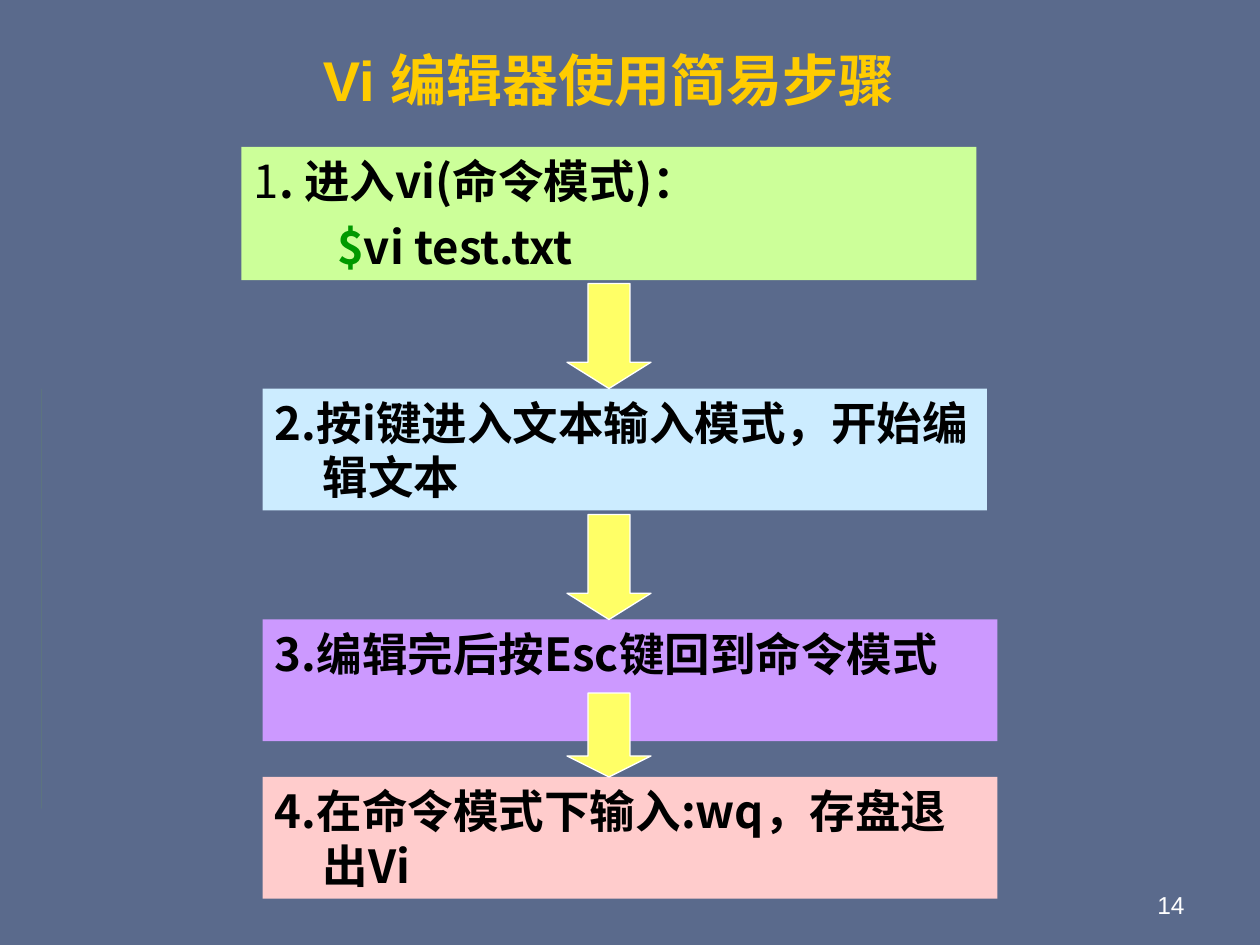
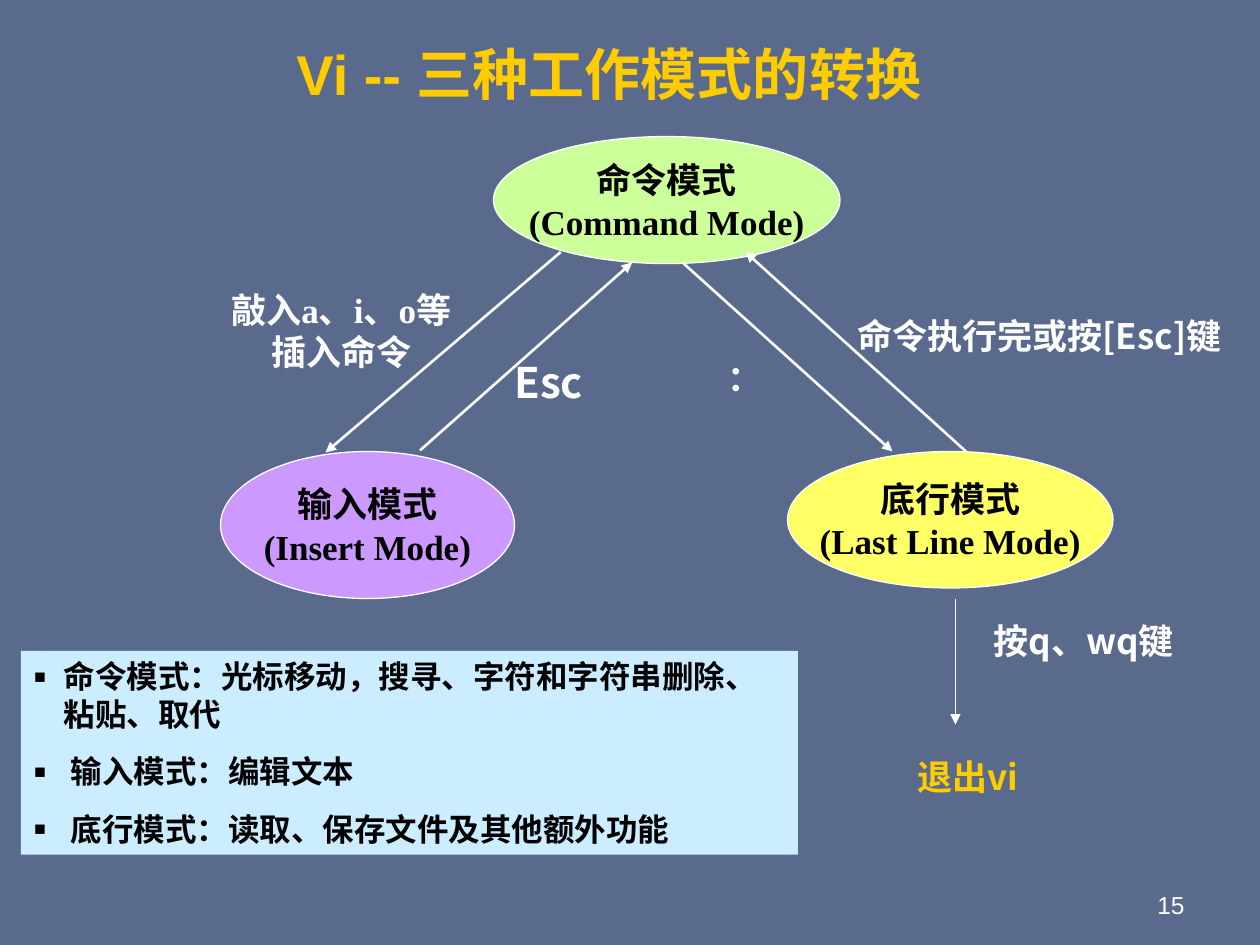
"""Build two slides on the vi editor: its simple steps and its three modes."""
from lxml import etree
from pptx import Presentation
from pptx.dml.color import RGBColor
from pptx.enum.shapes import MSO_CONNECTOR, MSO_SHAPE
from pptx.enum.text import MSO_ANCHOR, PP_ALIGN
from pptx.oxml.ns import qn
from pptx.util import Inches, Pt

RECT, OVAL, DOWN = MSO_SHAPE.RECTANGLE, MSO_SHAPE.OVAL, MSO_SHAPE.DOWN_ARROW
LINE = MSO_CONNECTOR.STRAIGHT
TOP, MID, LOW = MSO_ANCHOR.TOP, MSO_ANCHOR.MIDDLE, MSO_ANCHOR.BOTTOM
LEFT, MIDST, RIGHT = PP_ALIGN.LEFT, PP_ALIGN.CENTER, PP_ALIGN.RIGHT
SANS, SERIF, HEAD = "Noto Sans CJK SC", "Times New Roman", "Arial"
HUES = {"back": "5A6A8C", "gold": "FFCC00", "white": "FFFFFF", "black": "000000",
        "lime": "CCFF99", "sky": "CCECFF", "plum": "CC99FF", "pink": "FFCCCC",
        "lemon": "FFFF66", "green": "009900", "leaf": "6BBA27"}
RGB = {name: RGBColor.from_string(code) for name, code in HUES.items()}
COLS = 120

deck = Presentation()
deck.slide_width, deck.slide_height = Inches(10), Inches(7.5)
UNIT = deck.slide_width / COLS
ground = deck.slide_master.background.fill
ground.solid()
ground.fore_color.rgb = RGB["back"]


def place(slide, kind, area, hue=None, edge=False):
    """Add a shape, or a text box when kind is None, on the grid."""
    spot = [round(n * UNIT) for n in area]
    if kind is None:
        return slide.shapes.add_textbox(*spot)
    shape = slide.shapes.add_shape(kind, *spot)
    shape.shadow.inherit = False
    shape.fill.solid()
    shape.fill.fore_color.rgb = RGB[hue]
    if edge:
        shape.line.color.rgb = RGB["white"]
        shape.line.width = Pt(0.75)
    else:
        shape.line.fill.background()
    return shape


def write(shape, lines, size, face, hue="black", align=MIDST, anchor=MID,
          wrap=False, bold=True, gap=0, hang=0):
    """Fill a shape with paragraphs of one style."""
    frame = shape.text_frame
    frame.word_wrap, frame.vertical_anchor = wrap, anchor
    if not wrap:
        frame.margin_left = frame.margin_right = 0
    frame.text = "\n".join(lines)
    for para in frame.paragraphs:
        para.alignment = align
        para.line_spacing, para.space_before = Pt(size * 1.2), Pt(gap)
        font = para.font
        font.name, font.size, font.bold = face, Pt(size), bold
        font.color.rgb = RGB[hue]
        if hang:
            props = para._p.get_or_add_pPr()
            props.set("marL", str(Inches(hang)))
            props.set("indent", str(-Inches(hang)))
    return frame.paragraphs


pages = []
for num, title, top in ((14, "Vi 编辑器使用简易步骤", 3),
                        (15, "Vi -- 三种工作模式的转换", 2)):
    page = deck.slides.add_slide(deck.slide_layouts[6])
    pages.append(page)
    pen = page.shapes.build_freeform(3.7, 36.8, scale=UNIT)
    pen.add_line_segments([(3.7, 38), (3.7, 76.7)])
    rule = pen.convert_to_shape()
    rule.shadow.inherit = False
    rule.fill.solid()
    rule.fill.fore_color.rgb = RGB["leaf"]
    rule.line.fill.background()
    write(place(page, None, (86, 82, 28, 6.2)), [str(num)], 14, HEAD, "white",
          RIGHT, LOW, True, False)
    write(place(page, None, (7, top, 102, 12 - top)), [title], 32, HEAD, "gold",
          wrap=True)
steps, modes = pages

for area, hue, lines in (
        ((23, 14, 70, 12.7), "lime", ["1", "$"]),
        ((25, 37, 69, 11.6), "sky", ["2.按i键进入文本输入模式，开始编辑文本"]),
        ((25, 59, 70, 11.6), "plum", ["3.编辑完后按Esc键回到命令模式"]),
        ((25, 74, 70, 11.6), "pink", ["4.在命令模式下输入:wq，存盘退出Vi"])):
    paras = write(place(steps, RECT, area, hue), lines, 26, SANS, align=LEFT,
                  anchor=TOP, wrap=True, gap=6.5, hang=0.38)
    if hue == "lime":
        enter, shell = paras
        enter.runs[0].font.bold = False
        enter.add_run().text = ". 进入vi(命令模式)："
        shell.runs[0].font.color.rgb = RGB["green"]
        shell.add_run().text = "vi test.txt"
        props = shell._p.get_or_add_pPr()
        props.set("marL", str(Inches(0.66)))
        props.set("indent", "0")

for top, tall in ((27, 10), (49, 10), (66, 8)):
    arrow = place(steps, DOWN, (54, top, 8, tall), "lemon", True)
    arrow.adjustments[1] = tall / 32

for area, hue, lines in (
        ((47, 13, 33, 12.1), "lime", ["命令模式", "(Command Mode)"]),
        ((21, 43, 28, 14), "plum", ["输入模式", "(Insert Mode)"]),
        ((75, 43, 31, 13), "lemon", ["底行模式", "(Last Line Mode)"])):
    write(place(modes, OVAL, area, hue, True), lines, 20, SERIF)

for ends, width in (((53.4, 24, 31, 43.1), 1.5), ((40, 42.9, 60.2, 25), 1.5),
                    ((65, 25, 85, 43), 1.5), ((92, 43, 71, 24), 1.5),
                    ((91, 57, 91, 69), 0.75)):
    link = modes.shapes.add_connector(LINE, *[round(n * UNIT) for n in ends])
    link.line.color.rgb = RGB["white"]
    link.line.width = Pt(width)
    etree.SubElement(link.line._get_or_add_ln(), qn("a:tailEnd"), type="triangle")
    etree.SubElement(link._element.spPr, qn("a:effectLst"))

for area, lines, size, face, hue in (
        ((19, 27, 27, 9), ["敲入a、i、o等", "插入命令"], 20, SERIF, "white"),
        ((48, 34, 8.5, 4.8), ["Esc"], 24, SANS, "white"),
        ((80, 29, 38, 6), ["命令执行完或按[Esc]键"], 20, SANS, "white"),
        ((68, 33, 6, 6), ["："], 20, SERIF, "white"),
        ((92, 58, 22.4, 6), ["按q、wq键"], 20, SANS, "white"),
        ((81, 71, 22.4, 6), ["退出vi"], 20, SANS, "gold")):
    write(place(modes, None, area), lines, size, face, hue)

notes = write(place(modes, RECT, (2, 62, 74, 19.4), "sky"),
              ["命令模式：光标移动，搜寻、字符和字符串删除、粘贴、取代",
               " 输入模式：编辑文本", " 底行模式：读取、保存文件及其他额外功能"],
              18, SERIF, align=LEFT, anchor=TOP, wrap=True, gap=11.2, hang=0.24)
for note in notes:
    base = note._p.get_or_add_pPr().find(qn("a:defRPr"))
    tint = etree.Element(qn("a:buClr"))
    etree.SubElement(tint, qn("a:srgbClr"), val=HUES["black"])
    base.addprevious(tint)
    for tag, key, value in (("a:buSzPct", "val", "120000"),
                            ("a:buFont", "typeface", HEAD),
                            ("a:buChar", "char", "▪")):
        base.addprevious(etree.Element(qn(tag), {key: value}))

deck.save("out.pptx")
